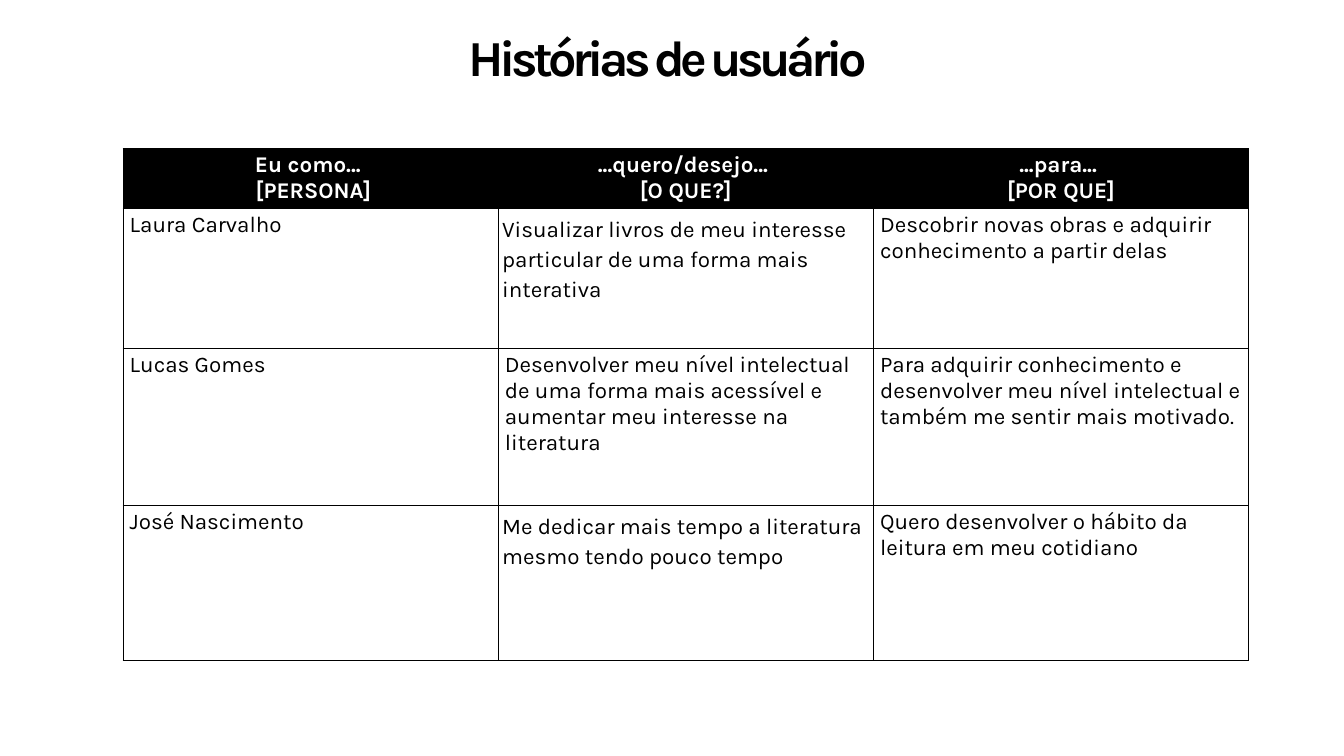
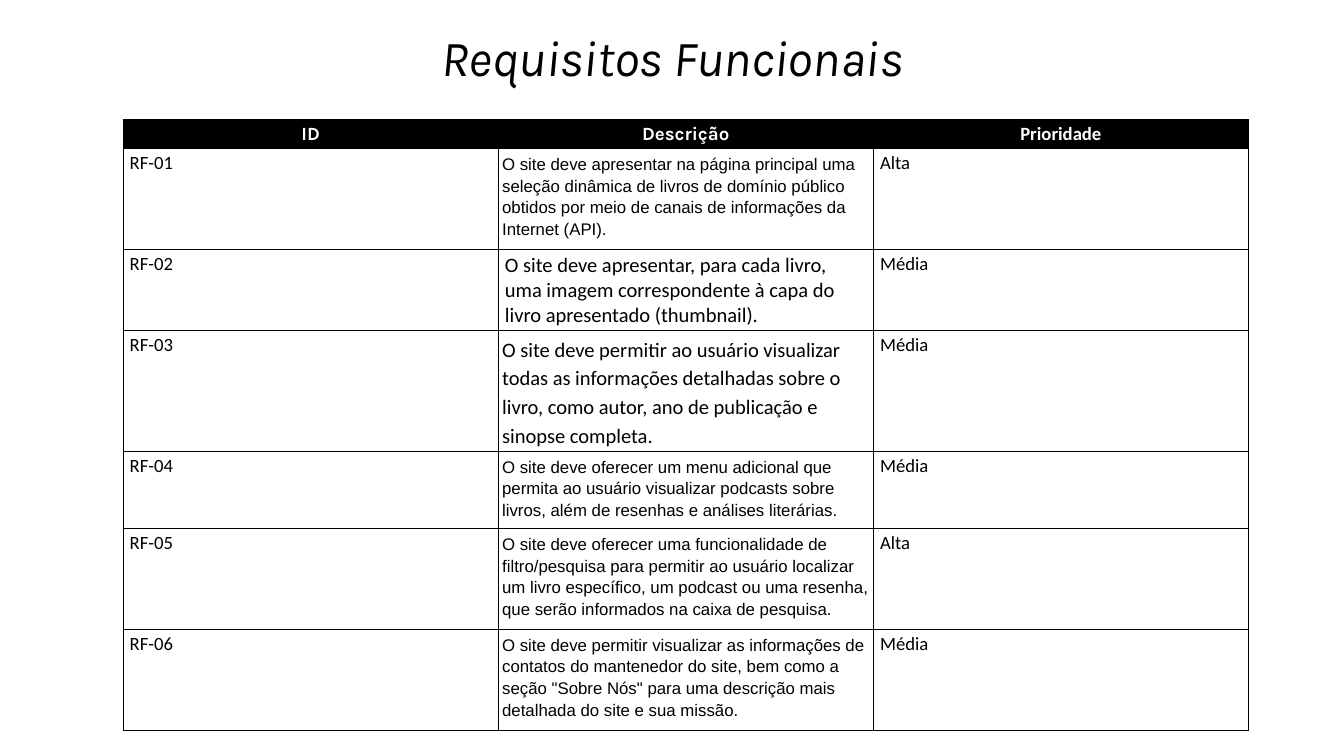
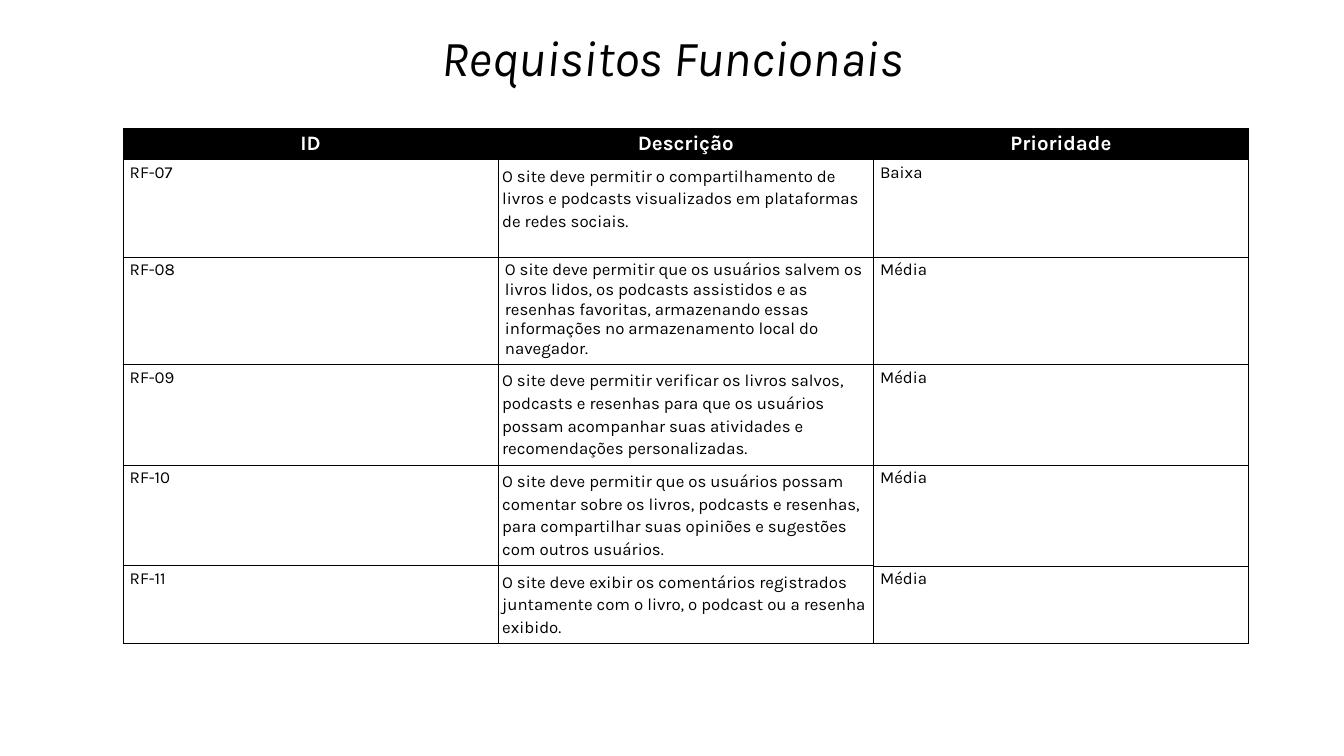
"""Build three slides of user stories and functional requirements as tables."""
from lxml.etree import SubElement
from pptx import Presentation
from pptx.dml.color import RGBColor
from pptx.enum.text import MSO_ANCHOR, MSO_AUTO_SIZE, PP_ALIGN
from pptx.oxml.ns import qn
from pptx.util import Cm, Pt

BLACK = RGBColor(0x00, 0x00, 0x00)
WHITE = RGBColor(0xFF, 0xFF, 0xFF)
KARLA, CALIBRI, ARIAL = "Karla", "Calibri", "Arial"

TABLE_LEFT, COLUMN_WIDTH = 4.65, 14.18
LOOSE_MARGIN, LOOSE_SPACING = Cm(0.15), 1.15
THIN, REGULAR = Pt(0.75), Pt(1)
REQUIREMENT_HEADINGS = ("ID", "Descrição", "Prioridade")

SECTIONS = [
    {
        "title": "Histórias de usuário ",
        "title_look": {"bold": True, "tracking": -500},
        "top": 5.61,
        "height": 19.35,
        "row_heights": (1.75, 5.28, 5.94, 5.84),
        "headings": (
            "Eu como... \n [PERSONA]",
            "...quero/desejo... \n[O QUE?]",
            "...para... \n[POR QUE]",
        ),
        "heading_fonts": [(KARLA, 24)] * 3,
        "body_font": (KARLA, 24),
        "description_fonts": [(KARLA, 24)] * 3,
        "entries": [
            ("Laura Carvalho",
             "Visualizar livros de meu interesse particular de uma forma mais interativa",
             "Descobrir novas obras e adquirir conhecimento a partir delas"),
            ("Lucas Gomes",
             "Desenvolver meu nível intelectual de uma forma mais acessível e "
             "aumentar meu interesse na literatura",
             "Para adquirir conhecimento e desenvolver meu nível intelectual e "
             "também me sentir mais motivado."),
            ("José Nascimento",
             "Me dedicar mais tempo a literatura mesmo tendo pouco tempo",
             "Quero desenvolver o hábito da leitura em meu cotidiano"),
        ],
    },
    {
        "title": "Requisitos Funcionais",
        "title_look": {"italic": True},
        "top": 4.52,
        "height": 23.16,
        "row_heights": (1.09, 3.68, 2.67, 3.18, 2.11, 2.11, 3.43),
        "headings": REQUIREMENT_HEADINGS,
        "heading_fonts": [(KARLA, 20), (KARLA, 20), (CALIBRI, 20)],
        "body_font": (CALIBRI, 20),
        "description_fonts": [(ARIAL, 18)] + [(CALIBRI, 22)] * 2 + [(ARIAL, 18)] * 3,
        "entries": [
            ("RF-01",
             "O site deve apresentar na página principal uma seleção dinâmica de livros "
             "de domínio público obtidos por meio de canais de informações da Internet (API).",
             "Alta"),
            ("RF-02",
             "O site deve apresentar, para cada livro, uma imagem correspondente à capa "
             "do livro apresentado (thumbnail).",
             "Média"),
            ("RF-03",
             "O site deve permitir ao usuário visualizar todas as informações detalhadas "
             "sobre o livro, como autor, ano de publicação e sinopse completa.",
             "Média"),
            ("RF-04",
             "O site deve oferecer um menu adicional que permita ao usuário visualizar "
             "podcasts sobre livros, além de resenhas e análises literárias.",
             "Média"),
            ("RF-05",
             "O site deve oferecer uma funcionalidade de filtro/pesquisa para permitir ao "
             "usuário localizar um livro específico, um podcast ou uma resenha, que serão "
             "informados na caixa de pesquisa.",
             "Alta"),
            ("RF-06",
             "O site deve permitir visualizar as informações de contatos do mantenedor do "
             "site, bem como a seção \"Sobre Nós\" para uma descrição mais detalhada do "
             "site e sua missão.",
             "Média"),
        ],
    },
    {
        "title": "Requisitos Funcionais",
        "title_look": {"italic": True},
        "top": 4.85,
        "height": 18.77,
        "row_heights": (1.09, 3.68, 2.67, 3.18, 2.11, 2.11),
        "headings": REQUIREMENT_HEADINGS,
        "heading_fonts": [(KARLA, 22)] * 3,
        "body_font": (KARLA, 18),
        "description_fonts": [(KARLA, 18)] * 5,
        "entries": [
            ("RF-07",
             "O site deve permitir o compartilhamento de livros e podcasts visualizados "
             "em plataformas de redes sociais.",
             "Baixa"),
            ("RF-08",
             "O site deve permitir que os usuários salvem os livros lidos, os podcasts "
             "assistidos e as resenhas favoritas, armazenando essas informações no "
             "armazenamento local do navegador.",
             "Média"),
            ("RF-09",
             "O site deve permitir verificar os livros salvos, podcasts e resenhas para "
             "que os usuários possam acompanhar suas atividades e recomendações "
             "personalizadas.",
             "Média"),
            ("RF-10",
             "O site deve permitir que os usuários possam comentar sobre os livros, "
             "podcasts e resenhas, para compartilhar suas opiniões e sugestões com "
             "outros usuários.",
             "Média"),
            ("RF-11",
             "O site deve exibir os comentários registrados juntamente com o livro, o "
             "podcast ou a resenha exibido.",
             "Média"),
        ],
    },
]


def add_run(paragraph, text, typeface, size, color, bold=False, italic=False, tracking=0):
    """Add one formatted run to a paragraph."""
    run = paragraph.add_run()
    run.text = text
    font = run.font
    font.name, font.size = typeface, Pt(size)
    font.bold, font.italic = bold, italic
    font.color.rgb = color
    if tracking:
        font._element.set("spc", str(tracking))


def write_title(slide, text, look):
    """Place and write the slide title."""
    title = slide.shapes.title
    title.left, title.top, title.width, title.height = Cm(0), Cm(0.97), Cm(50.8), Cm(2.34)
    frame = title.text_frame
    frame.margin_left = frame.margin_right = frame.margin_bottom = 0
    frame.margin_top = Cm(0.03)
    frame.word_wrap = True
    frame.auto_size = MSO_AUTO_SIZE.SHAPE_TO_FIT_TEXT
    frame.vertical_anchor = MSO_ANCHOR.TOP
    paragraph = frame.paragraphs[0]
    paragraph.alignment = PP_ALIGN.CENTER
    add_run(paragraph, text, KARLA, 54, BLACK, **look)


def set_borders(cell, widths):
    """Draw the four cell borders ahead of the cell fill."""
    properties = cell._tc.get_or_add_tcPr()
    for position, (side, width) in enumerate(widths.items()):
        line = SubElement(properties, qn(f"a:{side}"), w=str(width))
        fill = SubElement(line, qn("a:solidFill"))
        SubElement(fill, qn("a:srgbClr"), val=str(BLACK))
        properties.insert(position, line)


def border_widths(row, column, last_row, last_column):
    """Return thin borders for the outline and the last column, regular ones inside."""
    closing = row > 0 and column == last_column
    thin = {
        "lnL": column == 0,
        "lnR": column == last_column,
        "lnT": row == 0 or closing,
        "lnB": row == last_row or closing,
    }
    return {side: THIN if is_thin else REGULAR for side, is_thin in thin.items()}


def write_cell(cell, text, font, heading, loose):
    """Fill a cell and write its lines."""
    if heading:
        cell.fill.solid()
        cell.fill.fore_color.rgb = BLACK
    else:
        cell.fill.background()
    if loose:
        cell.margin_left = cell.margin_right = LOOSE_MARGIN
        cell.margin_top = cell.margin_bottom = LOOSE_MARGIN
    frame = cell.text_frame
    for number, line in enumerate(text.split("\n")):
        paragraph = frame.add_paragraph() if number else frame.paragraphs[0]
        paragraph.alignment = PP_ALIGN.CENTER if heading else PP_ALIGN.LEFT
        if loose:
            paragraph.line_spacing = LOOSE_SPACING
        add_run(paragraph, line, *font, WHITE if heading else BLACK, bold=heading)


def add_section_table(slide, section):
    """Add the table of a section."""
    rows = [section["headings"], *section["entries"]]
    body = section["body_font"]
    fonts = [section["heading_fonts"]]
    fonts += [(body, description, body) for description in section["description_fonts"]]
    column_count = len(section["headings"])
    holder = slide.shapes.add_table(
        len(rows), column_count, Cm(TABLE_LEFT), Cm(section["top"]),
        Cm(COLUMN_WIDTH * column_count), Cm(section["height"]))
    table = holder.table
    table.first_row = table.horz_banding = False
    for column in table.columns:
        column.width = Cm(COLUMN_WIDTH)
    for row, texts in enumerate(rows):
        table.rows[row].height = Cm(section["row_heights"][row])
        for column, text in enumerate(texts):
            cell = table.cell(row, column)
            loose = column == 1 and row not in (0, 2)
            write_cell(cell, text, fonts[row][column], row == 0, loose)
            set_borders(cell, border_widths(row, column, len(rows) - 1, column_count - 1))
    holder.height = Cm(section["height"])


def main():
    """Build and save the presentation."""
    deck = Presentation()
    deck.slide_width, deck.slide_height = Cm(50.8), Cm(28.58)
    for section in SECTIONS:
        slide = deck.slides.add_slide(deck.slide_layouts[5])
        write_title(slide, section["title"], section["title_look"])
        add_section_table(slide, section)
    deck.save("out.pptx")


if __name__ == "__main__":
    main()
